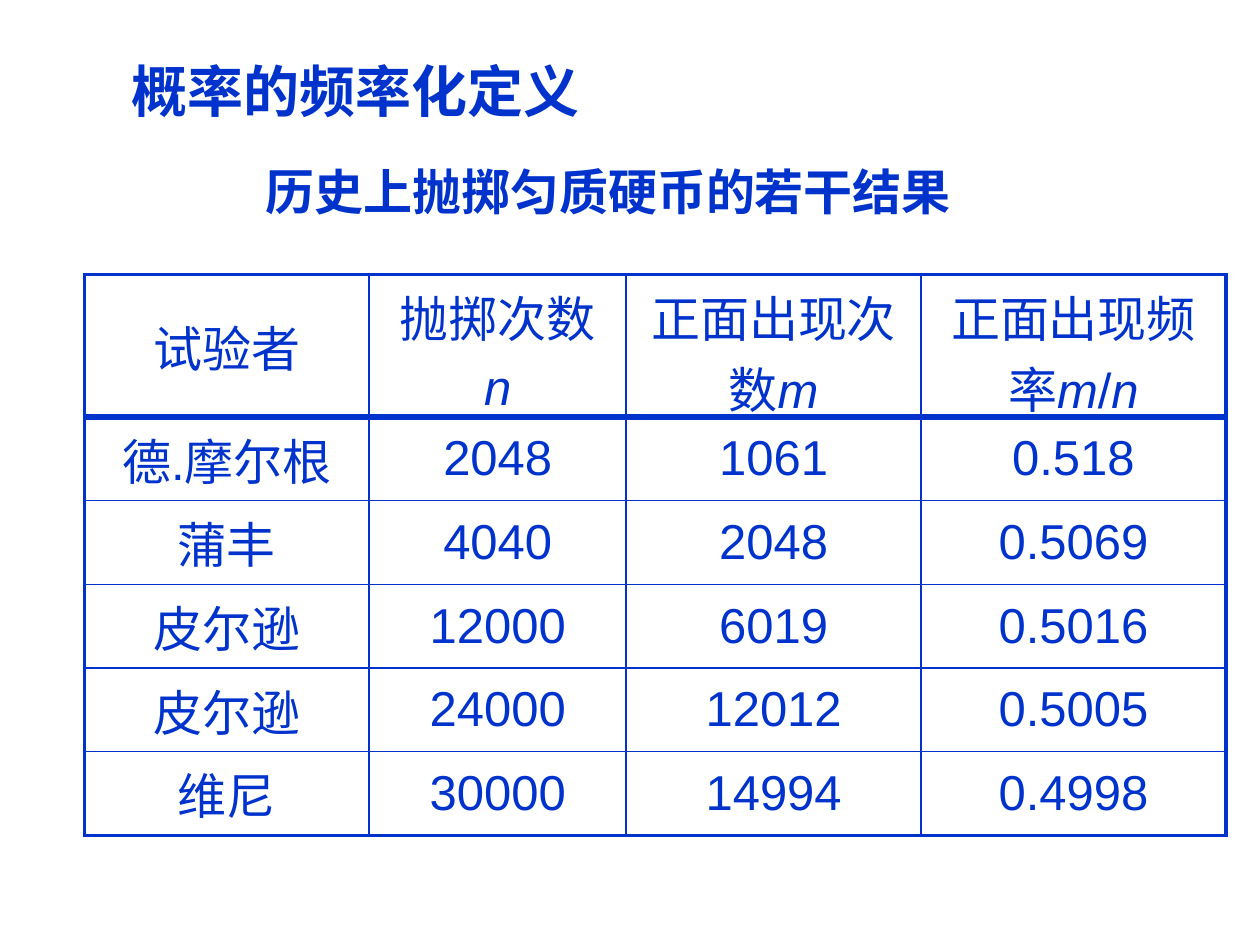
from lxml import etree
from pptx import Presentation
from pptx.dml.color import RGBColor
from pptx.enum.text import MSO_ANCHOR, MSO_AUTO_SIZE, PP_ALIGN
from pptx.oxml.ns import qn
from pptx.util import Inches, Pt

CENTER = PP_ALIGN.CENTER
MIDDLE, TOP = MSO_ANCHOR.MIDDLE, MSO_ANCHOR.TOP
FIT_SHAPE = MSO_AUTO_SIZE.SHAPE_TO_FIT_TEXT

COLORS = {"ink": "0033CC"}
LATIN_FONT, CHINESE_FONT = "Arial", "Noto Sans CJK SC"
THIN, OUTER, HEADER_RULE = 1, 2.25, 4.5

# A header cell holds paragraphs; a paragraph holds (text, italic) runs.
HEADER = [
    [[("试验者", False)]],
    [[("抛掷次数", False)], [("n", True)]],
    [[("正面出现次数", False), ("m", True)]],
    [[("正面出现频率", False), ("m", True), ("/", False), ("n", True)]],
]
TRIALS = [
    ("德.摩尔根", "2048", "1061", "0.518"),
    ("蒲丰", "4040", "2048", "0.5069"),
    ("皮尔逊", "12000", "6019", "0.5016"),
    ("皮尔逊", "24000", "12012", "0.5005"),
    ("维尼", "30000", "14994", "0.4998"),
]
COLUMN_WIDTHS = [2.26, 2.04, 2.34, 2.42]
HEADER_HEIGHT = 1.13


def style_font(font, size, bold=False):
    font.name = LATIN_FONT
    font.size = Pt(size)
    font.bold = bold
    font.color.rgb = RGBColor.from_string(COLORS["ink"])


def add_run(paragraph, text, italic=False):
    """Add a run with its East Asian typeface."""
    run = paragraph.add_run()
    run.text = text
    if italic:
        run.font.italic = True
    properties = run._r.get_or_add_rPr()
    etree.SubElement(properties, qn("a:ea"), typeface=CHINESE_FONT)


def add_heading(slide, box, text, size, anchor=TOP, indent=0.1):
    heading = slide.shapes.add_textbox(*map(Inches, box))
    frame = heading.text_frame
    frame.word_wrap = True
    frame.vertical_anchor = anchor
    frame.margin_left = Inches(indent)
    paragraph = frame.paragraphs[0]
    style_font(paragraph.font, size, bold=True)
    add_run(paragraph, text)
    return frame


def set_borders(cell, widths):
    """Draw the left, right, top and bottom borders, widths in points."""
    properties = cell._tc.get_or_add_tcPr()
    for position, (side, width) in enumerate(zip("LRTB", widths)):
        line = etree.Element(qn(f"a:ln{side}"), w=str(Pt(width)))
        fill = etree.SubElement(line, qn("a:solidFill"))
        etree.SubElement(fill, qn("a:srgbClr"), val=COLORS["ink"])
        properties.insert(position, line)


def fill_cell(cell, paragraphs):
    cell.fill.background()
    cell.vertical_anchor = MIDDLE
    frame = cell.text_frame
    for index, runs in enumerate(paragraphs):
        paragraph = frame.add_paragraph() if index else frame.paragraphs[0]
        paragraph.alignment = CENTER
        paragraph.space_before = Pt(5.6)
        style_font(paragraph.font, 28)
        for text, italic in runs:
            add_run(paragraph, text, italic)


def add_trials_table(slide, box):
    rows = [HEADER] + [[[[(value, False)]] for value in trial] for trial in TRIALS]
    last_row, last_column = len(rows) - 1, len(HEADER) - 1
    table = slide.shapes.add_table(len(rows), len(HEADER), *map(Inches, box)).table
    table.first_row = table.horz_banding = False

    for column, width in zip(table.columns, COLUMN_WIDTHS):
        column.width = Inches(width)
    body_height = (box[3] - HEADER_HEIGHT) / len(TRIALS)
    for index, row in enumerate(table.rows):
        row.height = Inches(body_height if index else HEADER_HEIGHT)

    row_rules = [OUTER, HEADER_RULE] + [THIN] * (last_row - 1) + [OUTER]
    column_rules = [OUTER] + [THIN] * last_column + [OUTER]
    for r, row in enumerate(rows):
        for c, paragraphs in enumerate(row):
            cell = table.cell(r, c)
            fill_cell(cell, paragraphs)
            set_borders(cell, column_rules[c:c + 2] + row_rules[r:r + 2])


def main():
    prs = Presentation()
    prs.slide_width, prs.slide_height = Inches(10), Inches(7.5)
    slide = prs.slides.add_slide(prs.slide_layouts[6])
    subtitle = add_heading(slide, (2.01, 1.23, 6.38, 0.57),
                           "历史上抛掷匀质硬币的若干结果", 28)
    subtitle.auto_size = FIT_SHAPE
    add_heading(slide, (0.83, 0.28, 5.98, 0.87), "概率的频率化定义", 32,
                anchor=MIDDLE, indent=0.21)
    add_trials_table(slide, (0.67, 2.18, 9.06, 4.45))
    prs.save("out.pptx")


if __name__ == "__main__":
    main()
